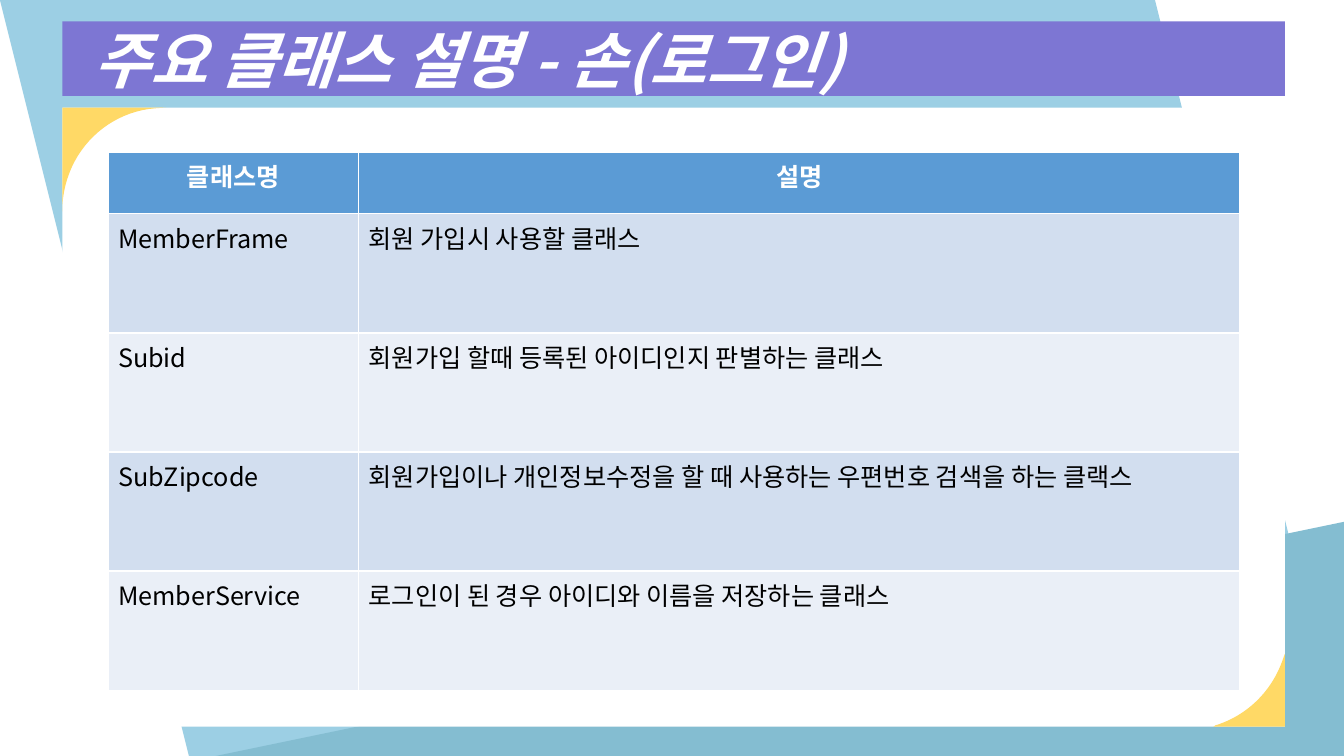
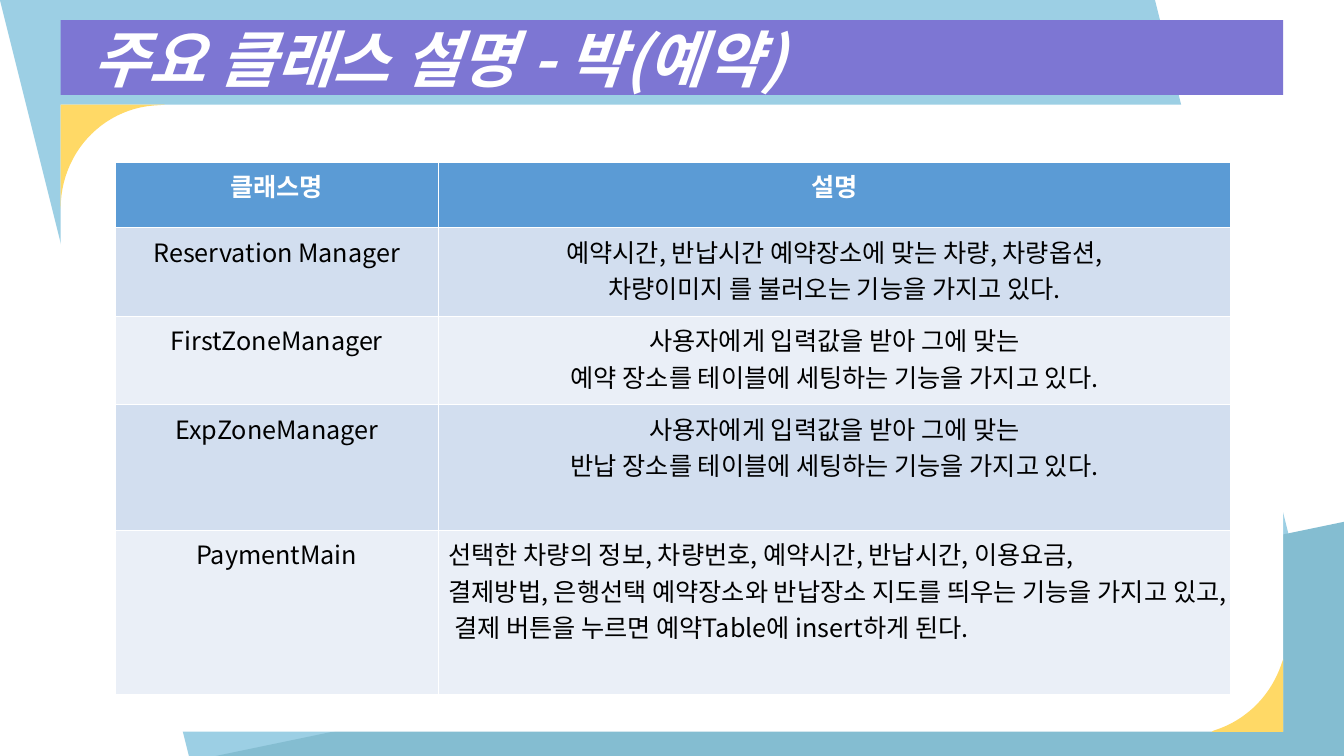
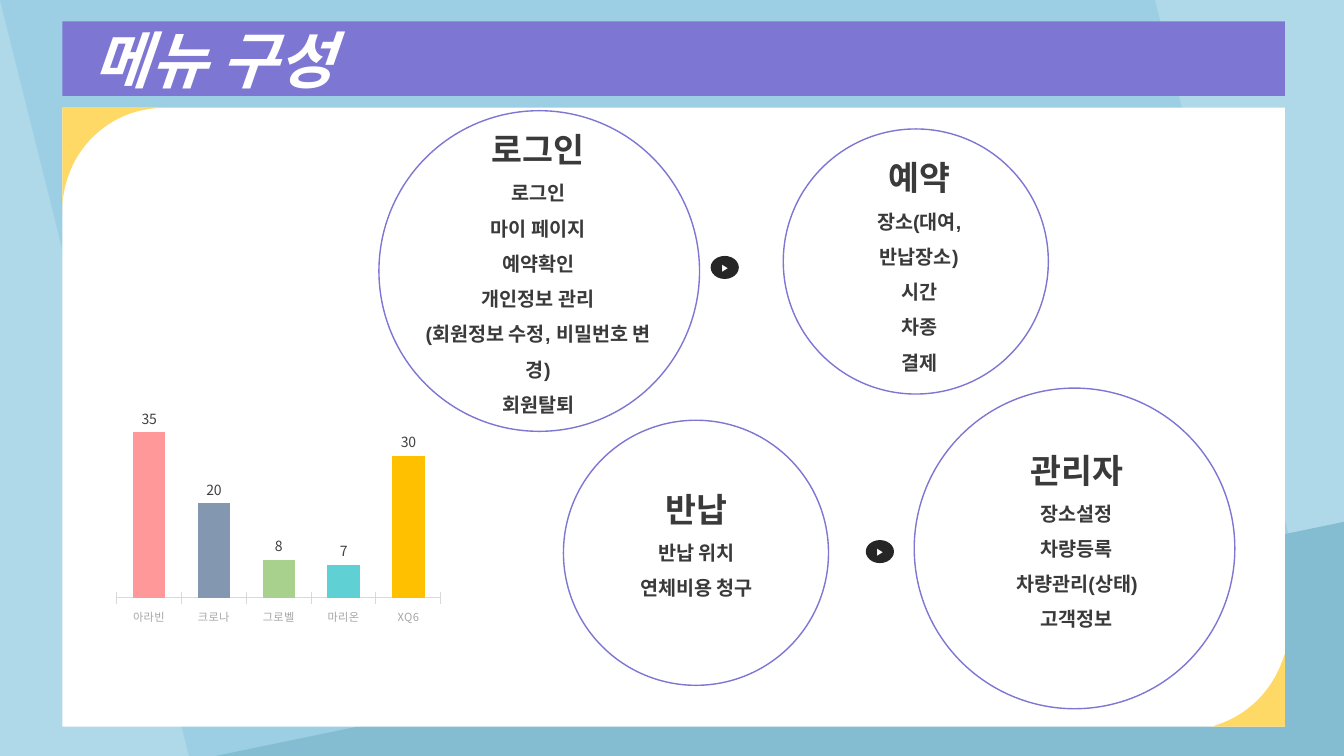
from dataclasses import dataclass

from lxml import etree
from pptx import Presentation
from pptx.chart.data import CategoryChartData
from pptx.dml.color import RGBColor
from pptx.enum import chart as ch, shapes, text
from pptx.oxml.ns import qn
from pptx.util import Cm, Pt

SANS, ARIAL = "Noto Sans CJK KR", "Arial"
WIDE, HIGH = 33.87, 19.05
MID, LEFT = text.PP_ALIGN.CENTER, text.PP_ALIGN.LEFT
KIND = shapes.MSO_SHAPE

HUES = {
    "white": "FFFFFF", "black": "000000", "pale": "AFD9E9", "sky": "9CCFE4",
    "sea": "84BDD1", "violet": "7D76D3", "gold": "FFD966", "head": "5B9BD5",
    "odd": "D2DEEF", "even": "EAEFF7", "ink": "3A3A3A", "dark": "262626",
    "label": "404040", "tick": "A6A6A6", "rule": "D9D9D9",
}
BARS = ["FF9999", "8497B0", "A9D18E", "5FD0D4", "FFC000"]


@dataclass
class Frame:
    """Title band and white panel; lengths in cm."""
    left: float = 1.57
    band: float = 0.54
    top: float = 2.71
    high: float = 15.6
    wide: float = 30.81


@dataclass
class Row:
    high: float
    name: str
    lines: list[str]
    align: text.PP_ALIGN


@dataclass
class Grid:
    left: float
    top: float
    cols: tuple[float, float]
    head: float
    names: text.PP_ALIGN
    rows: list[Row]


@dataclass
class Menu:
    """Circle and the box of its list; lengths in cm."""
    ring: tuple[float, float, float]
    box: tuple[float, float, float, float]
    head: str
    items: list[str]


MEMBER = Grid(2.72, 3.84, (6.32, 22.2), 1.55, LEFT, [
    Row(3, "MemberFrame", ["회원 가입시 사용할 클래스"], LEFT),
    Row(3, "Subid", ["회원가입 할때 등록된 아이디인지 판별하는 클래스"], LEFT),
    Row(3, "SubZipcode", ["회원가입이나 개인정보수정을 할 때 사용하는 우편번호 검색을 하는 클랙스"], LEFT),
    Row(3, "MemberService", ["로그인이 된 경우 아이디와 이름을 저장하는 클래스"], LEFT),
])
BOOKING = Grid(2.9, 4.09, (8.15, 19.96), 1.65, MID, [
    Row(2.23, "Reservation Manager", ["예약시간, 반납시간 예약장소에 맞는 차량, 차량옵션,",
                                      "차량이미지 를 불러오는 기능을 가지고 있다."], MID),
    Row(2.23, "FirstZoneManager", ["사용자에게 입력값을 받아 그에 맞는",
                                   "예약 장소를 테이블에 세팅하는 기능을 가지고 있다."], MID),
    Row(3.17, "ExpZoneManager", ["사용자에게 입력값을 받아 그에 맞는",
                                 "반납 장소를 테이블에 세팅하는 기능을 가지고 있다."], MID),
    Row(4.14, "PaymentMain", ["선택한 차량의 정보, 차량번호, 예약시간, 반납시간, 이용요금,",
                              "결제방법, 은행선택 예약장소와 반납장소 지도를 띄우는 기능을 가지고 있고, "
                              "결제 버튼을 누르면 예약Table에 insert하게 된다."], LEFT),
])
MENUS = [
    Menu((9.55, 2.79, 8.08), (10.21, 2.62, 6.71, 8.08), "로그인",
         ["로그인", "마이 페이지", "예약확인", "개인정보 관리", "(회원정보 수정, 비밀번호 변경)", "회원탈퇴"]),
    Menu((19.74, 3.25, 6.68), (20.88, 3.33, 4.57, 6.86), "예약",
         ["장소(대여, 반납장소)", "시간", "차종", "결제"]),
    Menu((14.2, 10.59, 6.68), (15.37, 11.68, 4.37, 4.5), "반납",
         ["반납 위치", "연체비용 청구"]),
    Menu((23.04, 9.78, 8.08), (25.25, 10.69, 3.78, 5.38), "관리자",
         ["장소설정", "차량등록", "차량관리(상태)", "고객정보"]),
]
ARROWS = [(17.91, 6.45), (21.82, 13.61)]
SALES = {"아라빈": 35, "크로나": 20, "그로벨": 8, "마리온": 7, "XQ6": 30}


def hue(name: str) -> RGBColor:
    return RGBColor.from_string(HUES[name])


def write(par, words: str, size: float, tint: str, bold=False, slant=False,
          face=SANS, align=LEFT) -> None:
    par.alignment = align
    run = par.add_run()
    run.text = words
    font = run.font
    font.name, font.size, font.bold, font.italic = face, Pt(size), bold, slant
    font.color.rgb = hue(tint)
    etree.SubElement(run._r.get_or_add_rPr(), qn("a:ea")).set("typeface", SANS)


def paint(shape, fill: str | None, line: str | None = None) -> None:
    shape.shadow.inherit = False
    if fill:
        shape.fill.solid()
        shape.fill.fore_color.rgb = hue(fill)
    else:
        shape.fill.background()
    if line:
        shape.line.color.rgb = hue(line)
        shape.line.width = Pt(1)
    else:
        shape.line.fill.background()


def place(shape, *box: float) -> None:
    shape.left, shape.top, shape.width, shape.height = map(Cm, box)


def draw(slide, kind, box, fill: str | None, line: str | None = None, flip=False):
    shape = slide.shapes.add_shape(kind, *map(Cm, box))
    paint(shape, fill, line)
    if flip:
        shape.element.spPr.xfrm.set("flipH", "1")
    return shape


def curve(a, b, c, d, steps=24) -> list[tuple[float, float]]:
    """Points along a cubic Bezier curve."""
    ts = [i / steps for i in range(steps + 1)]
    return [tuple((1 - t) ** 3 * p + 3 * t * (1 - t) ** 2 * q
                  + 3 * t * t * (1 - t) * r + t ** 3 * s
                  for p, q, r, s in zip(a, b, c, d)) for t in ts]


def corner(slide, x: float, y: float, points) -> None:
    """Gold outline around a panel corner at x, y."""
    spots = [(Cm(x + dx), Cm(y + dy)) for dx, dy in points]
    form = slide.shapes.build_freeform(*spots[0], scale=1.0)
    form.add_line_segments(spots[1:], close=True)
    paint(form.convert_to_shape(), "gold")


def start(deck, layout: int, title: str, frame: Frame, back="white"):
    """Add a slide with the shared backdrop, panel and title band."""
    slide = deck.slides.add_slide(deck.slide_layouts[layout])
    slide.background.fill.solid()
    slide.background.fill.fore_color.rgb = hue(back)
    draw(slide, KIND.PARALLELOGRAM, (0, 0, WIDE, HIGH), "sky", flip=True)
    draw(slide, KIND.RIGHT_TRIANGLE, (5.44, 13.15, 28.43, 5.9), "sea", flip=True)
    draw(slide, KIND.RECTANGLE, (frame.left, frame.top, frame.wide, frame.high), "white")
    corner(slide, frame.left, frame.top,
           [(0, 0), (2.62, 0), *curve((2.34, 0.02), (1.02, 0.13), (0, 1.24), (0, 2.62))])
    corner(slide, frame.left + frame.wide, frame.top + frame.high,
           [(0, -1.83), (0, 0), (-1.8, 0),
            *curve((-1.75, -0.03), (-0.94, -0.28), (-0.3, -0.91), (-0.03, -1.75))])
    for holder in list(slide.placeholders):
        slide.shapes.element.append(holder.element)

    band = slide.shapes.title
    place(band, frame.left, frame.band, frame.wide, 1.88)
    paint(band, "violet")
    body = band.text_frame
    body.auto_size, body.word_wrap = text.MSO_AUTO_SIZE.NONE, True
    body.vertical_anchor = text.MSO_ANCHOR.MIDDLE
    body.margin_left = Cm(0.79)
    write(body.paragraphs[0], title, 44, "white", bold=True, slant=True)
    return slide


def cell(spot, lines: list[str], fill: str, align, head=False) -> None:
    spot.fill.solid()
    spot.fill.fore_color.rgb = hue(fill)
    body = spot.text_frame
    for i, line in enumerate(lines):
        par = body.add_paragraph() if i else body.paragraphs[0]
        write(par, line, 18, "white" if head else "black", bold=head, align=align)


def add_grid(slide, grid: Grid) -> None:
    highs = [grid.head, *(row.high for row in grid.rows)]
    table = slide.shapes.add_table(len(highs), 2, Cm(grid.left), Cm(grid.top),
                                   Cm(sum(grid.cols)), Cm(sum(highs))).table
    for col, wide in zip(table.columns, grid.cols):
        col.width = Cm(wide)
    for line, high in zip(table.rows, highs):
        line.height = Cm(high)
    for i, name in enumerate(["클래스명", "설명"]):
        cell(table.cell(0, i), [name], "head", MID, head=True)
    for i, row in enumerate(grid.rows, 1):
        fill = "odd" if i % 2 else "even"
        cell(table.cell(i, 0), [row.name], fill, grid.names)
        cell(table.cell(i, 1), row.lines, fill, row.align)


def add_menu(slide, holder, menu: Menu) -> None:
    x, y, size = menu.ring
    draw(slide, KIND.OVAL, (x, y, size, size), None, "violet")
    place(holder, *menu.box)
    body = holder.text_frame
    body.auto_size, body.word_wrap = text.MSO_AUTO_SIZE.NONE, True
    body.vertical_anchor = text.MSO_ANCHOR.TOP
    for i, words in enumerate([menu.head, *menu.items]):
        par = body.add_paragraph() if i else body.paragraphs[0]
        props = par._p.get_or_add_pPr()
        props.set("marL", "0")
        props.set("indent", "0")
        etree.SubElement(props, qn("a:buNone"))
        par.line_spacing, par.space_before = 1.5, Pt(0)
        write(par, words, 14 if i else 24, "ink", bold=True, face=ARIAL, align=MID)


def add_arrow(slide, x: float, y: float) -> None:
    dot = draw(slide, KIND.OVAL, (x, y, 0.71, 0.58), "dark")
    body = dot.text_frame
    body.margin_left = body.margin_right = body.margin_top = body.margin_bottom = 0
    body.vertical_anchor = text.MSO_ANCHOR.MIDDLE
    write(body.paragraphs[0], "▶", 7, "white", bold=True, face=ARIAL, align=MID)


def style(font, size: float, tint: str) -> None:
    font.name, font.size = SANS, Pt(size)
    font.color.rgb = hue(tint)


def add_sales(slide) -> None:
    data = CategoryChartData()
    data.categories = list(SALES)
    data.add_series("Series 1", list(SALES.values()))
    chart = slide.shapes.add_chart(ch.XL_CHART_TYPE.COLUMN_CLUSTERED,
                                   Cm(2.77), Cm(10.19), Cm(8.51), Cm(5.66), data).chart
    chart.has_legend = chart.has_title = False
    style(chart.font, 10, "black")
    scale = chart.value_axis
    scale.visible = scale.has_major_gridlines = False
    scale.minimum_scale, scale.maximum_scale = 0, 40
    axis = chart.category_axis
    axis.major_tick_mark = ch.XL_TICK_MARK.CROSS
    axis.format.line.color.rgb = hue("rule")
    axis.format.line.width = Pt(0.75)
    style(axis.tick_labels.font, 8, "tick")
    plot = chart.plots[0]
    plot.gap_width, plot.vary_by_categories = 100, False
    plot.has_data_labels = True
    labels = plot.data_labels
    labels.show_value = True
    labels.position = ch.XL_LABEL_POSITION.OUTSIDE_END
    style(labels.font, 10, "label")
    for i, tint in enumerate(BARS):
        fill = plot.series[0].points[i].format.fill
        fill.solid()
        fill.fore_color.rgb = RGBColor.from_string(tint)


def main() -> None:
    deck = Presentation()
    deck.slide_width, deck.slide_height = Cm(WIDE), Cm(HIGH)
    only, four = 5, 4  # layouts: title only, title with four bodies

    add_grid(start(deck, only, "주요 클래스 설명 - 손(로그인)", Frame()), MEMBER)
    frame = Frame(left=1.53, band=0.51, top=2.64, high=15.8)
    add_grid(start(deck, only, "주요 클래스 설명 - 박(예약)", frame), BOOKING)

    slide = start(deck, four, "메뉴 구성", Frame(), "pale")
    add_sales(slide)
    for i, menu in enumerate(MENUS, 1):
        add_menu(slide, slide.placeholders[i], menu)
    for spot in ARROWS:
        add_arrow(slide, *spot)
    deck.save("out.pptx")


if __name__ == "__main__":
    main()
